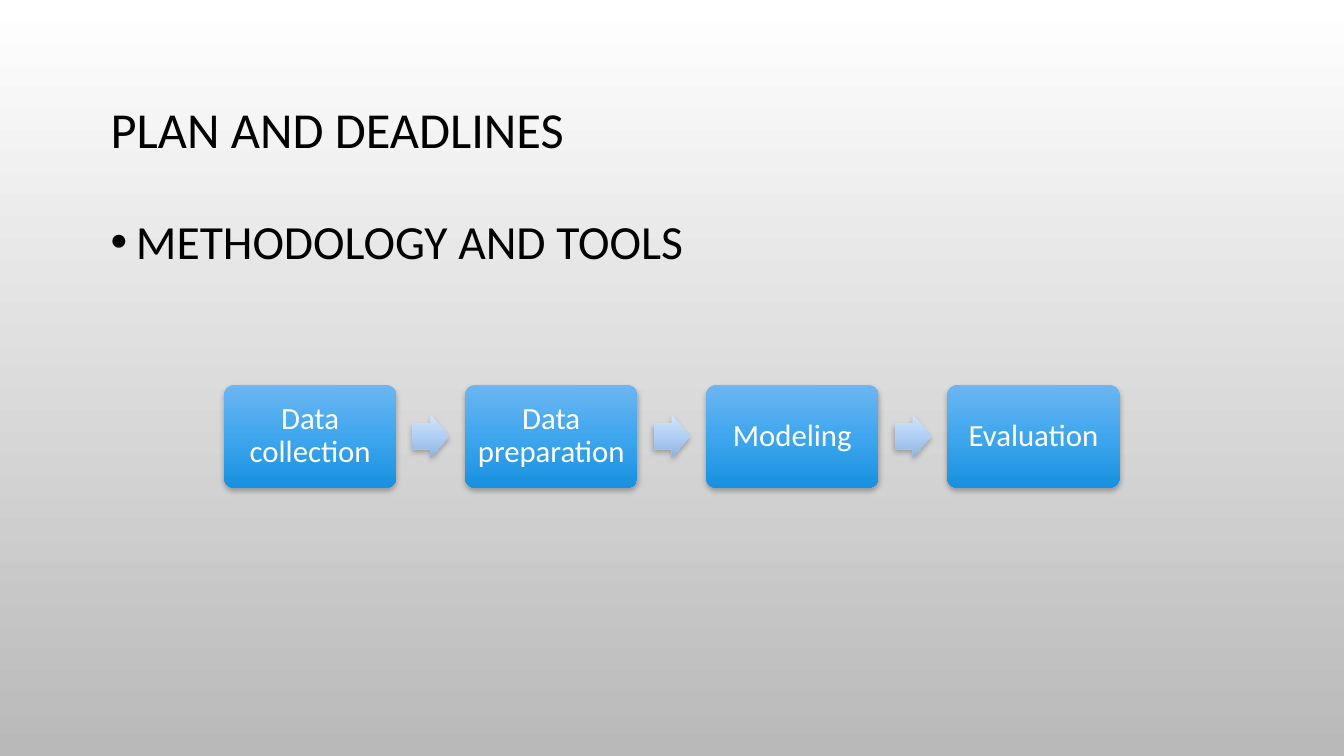
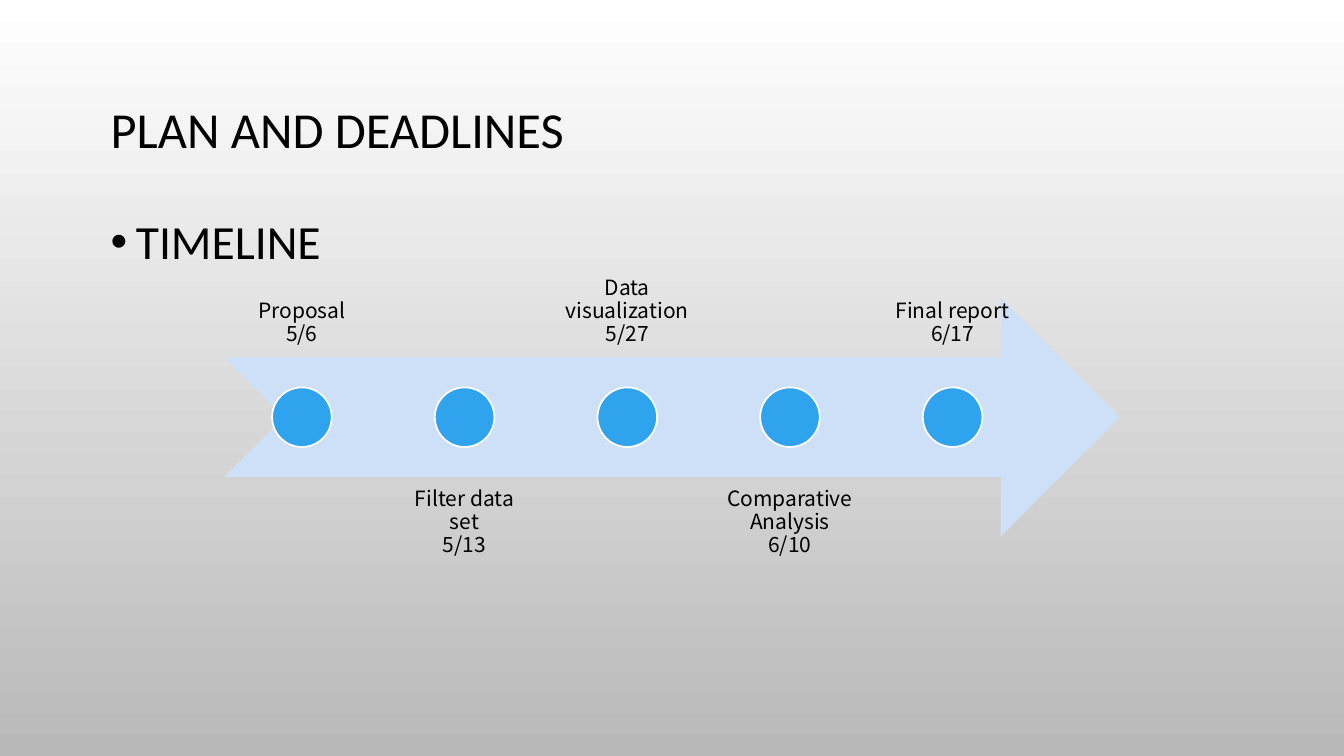
"""Build two project planning slides: a methodology flow and a timeline."""

from dataclasses import dataclass

from lxml.etree import SubElement
from pptx import Presentation
from pptx.dml.color import RGBColor
from pptx.dml.fill import FillFormat
from pptx.enum.shapes import MSO_SHAPE
from pptx.enum.text import MSO_ANCHOR, PP_ALIGN
from pptx.oxml.ns import qn
from pptx.shapes.autoshape import Shape
from pptx.slide import Slide
from pptx.text.text import TextFrame
from pptx.util import Pt


@dataclass(frozen=True)
class TextStyle:
    font: str
    size: float
    color: str
    line_spacing: float
    alignment: PP_ALIGN = PP_ALIGN.LEFT
    space_before: float = 0


@dataclass(frozen=True)
class Theme:
    background: tuple[str, ...] = ("FFFFFF", "B9B9B9")
    step: tuple[str, ...] = ("6CB6F1", "3FA6EE", "1891DF")
    step_arrow: tuple[str, ...] = ("D2E4F9", "B0CFF5", "90B2DB")
    timeline: str = "CDE0F8"
    marker: str = "2FA3EE"
    marker_line: str = "FFFFFF"
    shadow: str = "000000"
    title_text: TextStyle = TextStyle("Calibri", 36, "000000", 0.9)
    body_text: TextStyle = TextStyle("Calibri", 34, "000000", 1.2, space_before=10)
    step_text: TextStyle = TextStyle("Calibri", 22, "FFFFFF", 0.9, PP_ALIGN.CENTER)
    label_text: TextStyle = TextStyle("Noto Sans CJK SC", 15, "000000", 0.9, PP_ALIGN.CENTER)


@dataclass(frozen=True)
class Box:
    left: float
    top: float
    width: float
    height: float

    @property
    def middle(self) -> float:
        return self.top + self.height / 2

    def lengths(self) -> tuple[Pt, Pt, Pt, Pt]:
        return Pt(self.left), Pt(self.top), Pt(self.width), Pt(self.height)


@dataclass(frozen=True)
class Milestone:
    name: str
    date: str


THEME = Theme()
TITLE_BOX = Box(72, 49, 816, 91)
BODY_BOX = Box(72, 140, 816, 316)
BULLET_INDENT = 18

FIRST_STEP = Box(160, 275, 123.1, 73.4)
STEP_PITCH = 172.2
STEP_INSET = 5
STEP_ARROW_WIDTH, STEP_ARROW_HEIGHT = 26.1, 30.5

TIMELINE_BOX = Box(160, 212.7, 640, 170.6)
FIRST_LABEL_LEFT, LABEL_WIDTH, LABEL_PITCH = 160.2, 110.9, 116.2
LABEL_INSET = 8.4
MARKER_SIZE = 42.6

STEPS = ("Data collection", "Data preparation", "Modeling", "Evaluation")
MILESTONES = (
    Milestone("Proposal", "5/6"),
    Milestone("Filter data set", "5/13"),
    Milestone("Data visualization", "5/27"),
    Milestone("Comparative Analysis", "6/10"),
    Milestone("Final report", "6/17"),
)


def fill_gradient(fill: FillFormat, owner, colors: tuple[str, ...]) -> None:
    """Apply evenly spaced colours running from top to bottom."""
    fill.gradient()
    fill.gradient_angle = 270
    stops = owner.find(f".//{qn('a:gsLst')}")
    for stop in list(stops):
        stops.remove(stop)
    for index, color in enumerate(colors):
        position = round(100000 * index / (len(colors) - 1))
        stop = SubElement(stops, qn("a:gs"), pos=str(position))
        SubElement(stop, qn("a:srgbClr"), val=color)


def add_shadow(shape: Shape) -> None:
    """Give the shape a soft shadow falling downwards."""
    effects = shape.element.find(f".//{qn('a:effectLst')}")
    shadow = SubElement(
        effects, qn("a:outerShdw"), blurRad=str(Pt(4)), dist=str(Pt(2)),
        dir="5400000", algn="ctr", rotWithShape="0",
    )
    color = SubElement(shadow, qn("a:srgbClr"), val=THEME.shadow)
    SubElement(color, qn("a:alpha"), val="28000")


def write_text(
    frame: TextFrame, text: str, style: TextStyle, anchor: MSO_ANCHOR,
    inset: float | None = None,
) -> None:
    """Write one styled paragraph into the frame."""
    frame.word_wrap = True
    frame.vertical_anchor = anchor
    if inset is not None:
        frame.margin_left = frame.margin_right = Pt(inset)
        frame.margin_top = frame.margin_bottom = Pt(inset)
    paragraph = frame.paragraphs[0]
    paragraph.text = text
    paragraph.alignment = style.alignment
    paragraph.line_spacing = style.line_spacing
    paragraph.space_before = Pt(style.space_before)
    paragraph.font.name = style.font
    paragraph.font.size = Pt(style.size)
    paragraph.font.color.rgb = RGBColor.from_string(style.color)


def add_text(
    slide: Slide, box: Box, text: str, style: TextStyle, anchor: MSO_ANCHOR,
    inset: float | None = None,
) -> Shape:
    """Add a text box holding one paragraph."""
    shape = slide.shapes.add_textbox(*box.lengths())
    write_text(shape.text_frame, text, style, anchor, inset)
    return shape


def add_bullet(shape: Shape) -> None:
    """Turn the first paragraph of the shape into a bullet item."""
    properties = shape.element.find(f".//{qn('a:pPr')}")
    properties.set("marL", str(Pt(BULLET_INDENT)))
    properties.set("indent", str(-Pt(BULLET_INDENT)))
    color = SubElement(properties, qn("a:buClr"))
    SubElement(color, qn("a:srgbClr"), val=THEME.body_text.color)
    font = SubElement(properties, qn("a:buFont"), typeface="Arial")
    character = SubElement(properties, qn("a:buChar"), char="•")
    defaults = properties.find(qn("a:defRPr"))
    for element in (color, font, character):
        defaults.addprevious(element)


def add_plain_shape(slide: Slide, kind: MSO_SHAPE, box: Box) -> Shape:
    """Add a preset shape without line or shadow."""
    shape = slide.shapes.add_shape(kind, *box.lengths())
    shape.shadow.inherit = False
    shape.line.fill.background()
    return shape


def add_raised_shape(
    slide: Slide, kind: MSO_SHAPE, box: Box, colors: tuple[str, ...],
    adjustments: tuple[float, ...],
) -> Shape:
    """Add a shape with a gradient fill and a soft shadow."""
    shape = add_plain_shape(slide, kind, box)
    for index, value in enumerate(adjustments):
        shape.adjustments[index] = value
    fill_gradient(shape.fill, shape.element, colors)
    add_shadow(shape)
    return shape


def add_plan_slide(presentation: Presentation, topic: str) -> Slide:
    """Add a slide with the shared background, title and topic."""
    slide = presentation.slides.add_slide(presentation.slide_layouts[6])
    fill_gradient(slide.background.fill, slide.element, THEME.background)
    add_text(slide, TITLE_BOX, "PLAN AND DEADLINES", THEME.title_text, MSO_ANCHOR.MIDDLE)
    add_bullet(add_text(slide, BODY_BOX, topic, THEME.body_text, MSO_ANCHOR.TOP))
    return slide


def draw_steps(slide: Slide) -> None:
    """Draw the methodology steps joined by arrows."""
    gap = STEP_PITCH - FIRST_STEP.width
    for index, name in enumerate(STEPS):
        left = FIRST_STEP.left + index * STEP_PITCH
        if index:
            arrow = Box(
                left - (gap + STEP_ARROW_WIDTH) / 2,
                FIRST_STEP.middle - STEP_ARROW_HEIGHT / 2,
                STEP_ARROW_WIDTH, STEP_ARROW_HEIGHT,
            )
            add_raised_shape(slide, MSO_SHAPE.RIGHT_ARROW, arrow, THEME.step_arrow, (0.6, 0.5))
        box = Box(left, FIRST_STEP.top, FIRST_STEP.width, FIRST_STEP.height)
        step = add_raised_shape(slide, MSO_SHAPE.ROUNDED_RECTANGLE, box, THEME.step, (0.1,))
        write_text(step.text_frame, name, THEME.step_text, MSO_ANCHOR.MIDDLE, STEP_INSET)


def draw_timeline(slide: Slide) -> None:
    """Draw the timeline arrow with labels alternating above and below."""
    band = add_plain_shape(slide, MSO_SHAPE.NOTCHED_RIGHT_ARROW, TIMELINE_BOX)
    band.fill.solid()
    band.fill.fore_color.rgb = RGBColor.from_string(THEME.timeline)
    height = TIMELINE_BOX.height
    middle = TIMELINE_BOX.middle
    for index, milestone in enumerate(MILESTONES):
        left = FIRST_LABEL_LEFT + index * LABEL_PITCH
        above = index % 2 == 0
        top = middle - height * 1.25 if above else middle + height / 4
        add_text(
            slide, Box(left, top, LABEL_WIDTH, height),
            f"{milestone.name}\n{milestone.date}", THEME.label_text,
            MSO_ANCHOR.BOTTOM if above else MSO_ANCHOR.TOP, LABEL_INSET,
        )
        marker_left = left + (LABEL_WIDTH - MARKER_SIZE) / 2
        marker_box = Box(marker_left, middle - MARKER_SIZE / 2, MARKER_SIZE, MARKER_SIZE)
        marker = add_plain_shape(slide, MSO_SHAPE.OVAL, marker_box)
        marker.fill.solid()
        marker.fill.fore_color.rgb = RGBColor.from_string(THEME.marker)
        marker.line.color.rgb = RGBColor.from_string(THEME.marker_line)
        marker.line.width = Pt(1.25)


def main() -> None:
    """Build and save the presentation."""
    presentation = Presentation()
    presentation.slide_width = Pt(960)
    presentation.slide_height = Pt(540)
    draw_steps(add_plan_slide(presentation, "METHODOLOGY AND TOOLS"))
    draw_timeline(add_plan_slide(presentation, "TIMELINE"))
    presentation.save("out.pptx")


if __name__ == "__main__":
    main()
